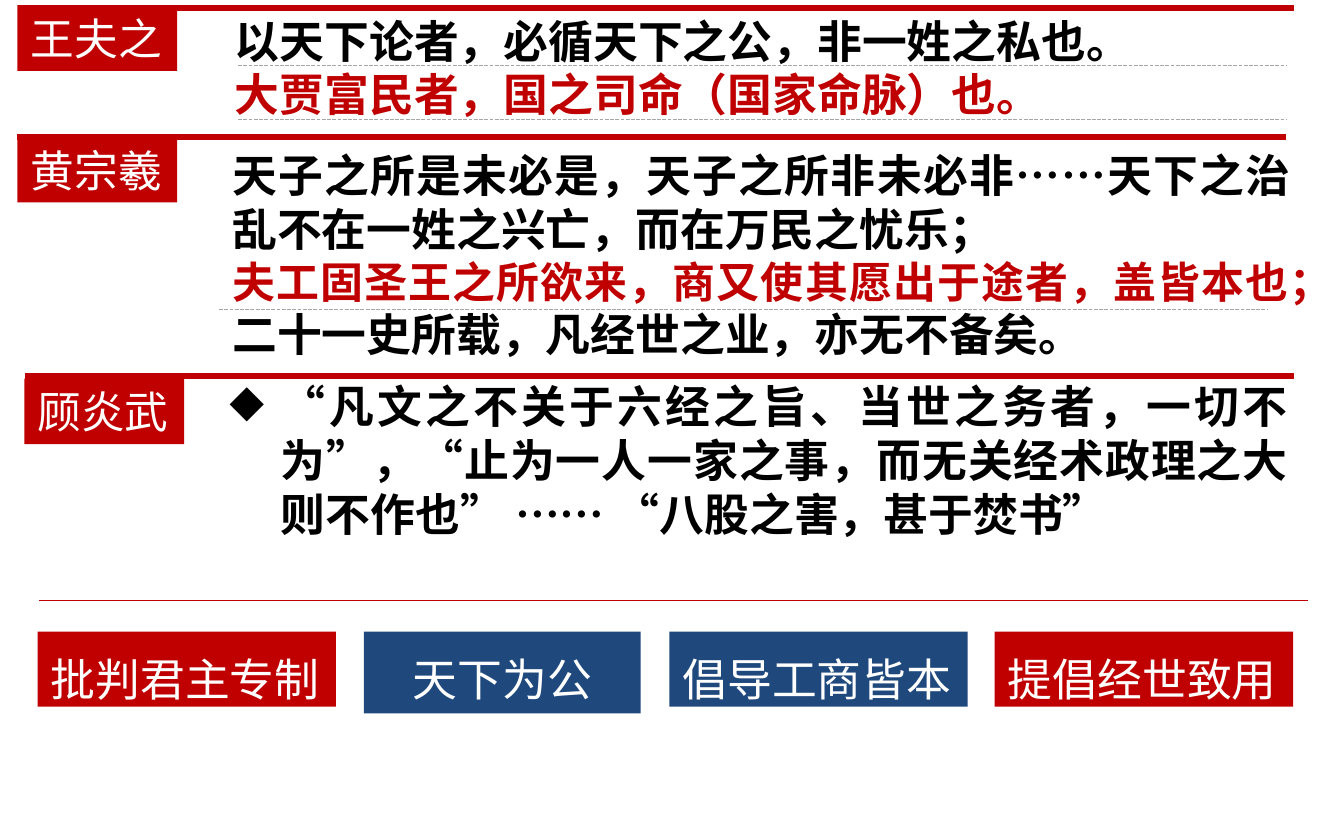
"""Build a slide on three thinkers, their sayings and their shared ideas."""
from lxml import etree
from pptx import Presentation
from pptx.dml.color import RGBColor
from pptx.enum.dml import MSO_LINE
from pptx.enum.shapes import MSO_CONNECTOR, MSO_SHAPE
from pptx.enum.text import MSO_ANCHOR, PP_ALIGN
from pptx.oxml.ns import qn
from pptx.util import Cm, Pt

STRAIGHT, RECTANGLE = MSO_CONNECTOR.STRAIGHT, MSO_SHAPE.RECTANGLE
LONG_DASH, TOP = MSO_LINE.LONG_DASH, MSO_ANCHOR.TOP
LEFT, CENTER, JUSTIFY = PP_ALIGN.LEFT, PP_ALIGN.CENTER, PP_ALIGN.JUSTIFY
RED, BLUE, BLACK, WHITE, GRAY = "C00000", "1F497D", "000000", "FFFFFF", "A6A6A6"
CJK, LATIN = "Noto Sans CJK SC", "Arial"
RULE_LENGTH, DASH_LENGTH = 23.98, 19.81
SAYING_WIDTH, INDENT = 20.5, 0.97
NAME_SIZE = (3.02, 1.24)
IDEA_TOP = 11.94

NAMES = [("王夫之", 0.33, 0.1), ("黄宗羲", 0.33, 2.59), ("顾炎武", 0.46, 7.16)]
SAYINGS = [
    {"at": (4.19, 0.13), "height": 2.31, "font": CJK, "bullet": None, "paragraphs": [
        [("以天下论者，必循天下之公，非一姓之私也。", 24, BLACK)],
        [("大贾富民者，国之司命（国家命脉）也。", 24, RED)]]},
    {"at": (4.14, 2.67), "height": 4.37, "font": CJK, "bullet": None, "paragraphs": [
        [("天子之所是未必是，天子之所非未必非……天下之治乱不在一姓之兴亡，而在万民之忧乐；", 24, BLACK)],
        [("夫工固圣王之所欲来，商又使其愿出于途者，盖皆本也；", 23, RED),
         ("二十一史所载，凡经世之业，亦无不备矣。", 24, BLACK)]]},
    {"at": (4.09, 7.04), "height": 3.33, "font": LATIN, "bullet": "◆", "paragraphs": [
        [("“凡文之不关于六经之旨、当世之务者，一切不为”，“止为一人一家之事，而无关经术政理之大则不作也” …… “八股之害，甚于焚书”",
          24, BLACK)]]},
]
IDEAS = [
    ("批判君主专制", 0.71, 5.64, 1.42, RED, LEFT),
    ("天下为公", 6.88, 5.23, 1.55, BLUE, CENTER),
    ("倡导工商皆本", 12.65, 5.64, 1.42, BLUE, LEFT),
    ("提倡经世致用", 18.8, 5.64, 1.42, RED, LEFT),
]
RULES = [(0.48, 0.15, 3), (0.33, 2.59, 3), (0.48, 7.11, 3), (0.74, 11.35, 0.75)]
DASHES = [(4.5, 1.24), (4.5, 2.26), (4.14, 5.84)]


def color(code):
    return RGBColor.from_string(code)


def style(run, size, code, font=CJK, bold=False):
    run.font.size, run.font.bold, run.font.name = Pt(size), bold, font
    run.font.color.rgb = color(code)
    east_asian = etree.SubElement(run._r.get_or_add_rPr(), qn("a:ea"))
    east_asian.set("typeface", CJK)


def add_rule(slide, left, top, length, code, weight, dash=None):
    rule = slide.shapes.add_connector(STRAIGHT, Cm(left), Cm(top), Cm(left + length), Cm(top))
    rule.line.color.rgb, rule.line.width = color(code), Pt(weight)
    if dash:
        rule.line.dash_style = dash
    etree.SubElement(rule._element.spPr, qn("a:effectLst"))


def add_block(slide, text, left, top, width, height, fill, size, align=LEFT, spacing=1.0):
    block = slide.shapes.add_shape(RECTANGLE, Cm(left), Cm(top), Cm(width), Cm(height))
    block.shadow.inherit = False
    block.fill.solid()
    block.fill.fore_color.rgb = color(fill)
    block.line.fill.background()
    frame = block.text_frame
    frame.text, frame.vertical_anchor = text, TOP
    frame.word_wrap = align == CENTER
    paragraph = frame.paragraphs[0]
    paragraph.alignment, paragraph.line_spacing = align, spacing
    style(paragraph.runs[0], size, WHITE)


def add_bullet(paragraph, mark):
    properties = paragraph._p.get_or_add_pPr()
    properties.set("marL", str(Cm(INDENT)))
    properties.set("indent", str(-Cm(INDENT)))
    etree.SubElement(properties, qn("a:buChar")).set("char", mark)


def add_saying(slide, saying):
    left, top = saying["at"]
    frame = slide.shapes.add_textbox(
        Cm(left), Cm(top), Cm(SAYING_WIDTH), Cm(saying["height"])).text_frame
    frame.word_wrap = True
    for index, parts in enumerate(saying["paragraphs"]):
        paragraph = frame.add_paragraph() if index else frame.paragraphs[0]
        paragraph.alignment = JUSTIFY
        if saying["bullet"]:
            add_bullet(paragraph, saying["bullet"])
        for text, size, code in parts:
            run = paragraph.add_run()
            run.text = text
            style(run, size, code, saying["font"], True)


def main():
    deck = Presentation()
    deck.slide_width, deck.slide_height = Cm(25.4), Cm(15.88)
    slide = deck.slides.add_slide(deck.slide_layouts[6])
    for saying in SAYINGS:
        add_saying(slide, saying)
    for left, top, weight in RULES:
        add_rule(slide, left, top, RULE_LENGTH, RED, weight)
    for name, left, top in NAMES:
        add_block(slide, name, left, top, *NAME_SIZE, RED, 23.4)
    for left, top in DASHES:
        add_rule(slide, left, top, DASH_LENGTH, GRAY, 0.25, LONG_DASH)
    for idea, left, width, height, fill, align in IDEAS:
        add_block(slide, idea, left, IDEA_TOP, width, height, fill, 24, align, 1.25)
    deck.save("out.pptx")


if __name__ == "__main__":
    main()
